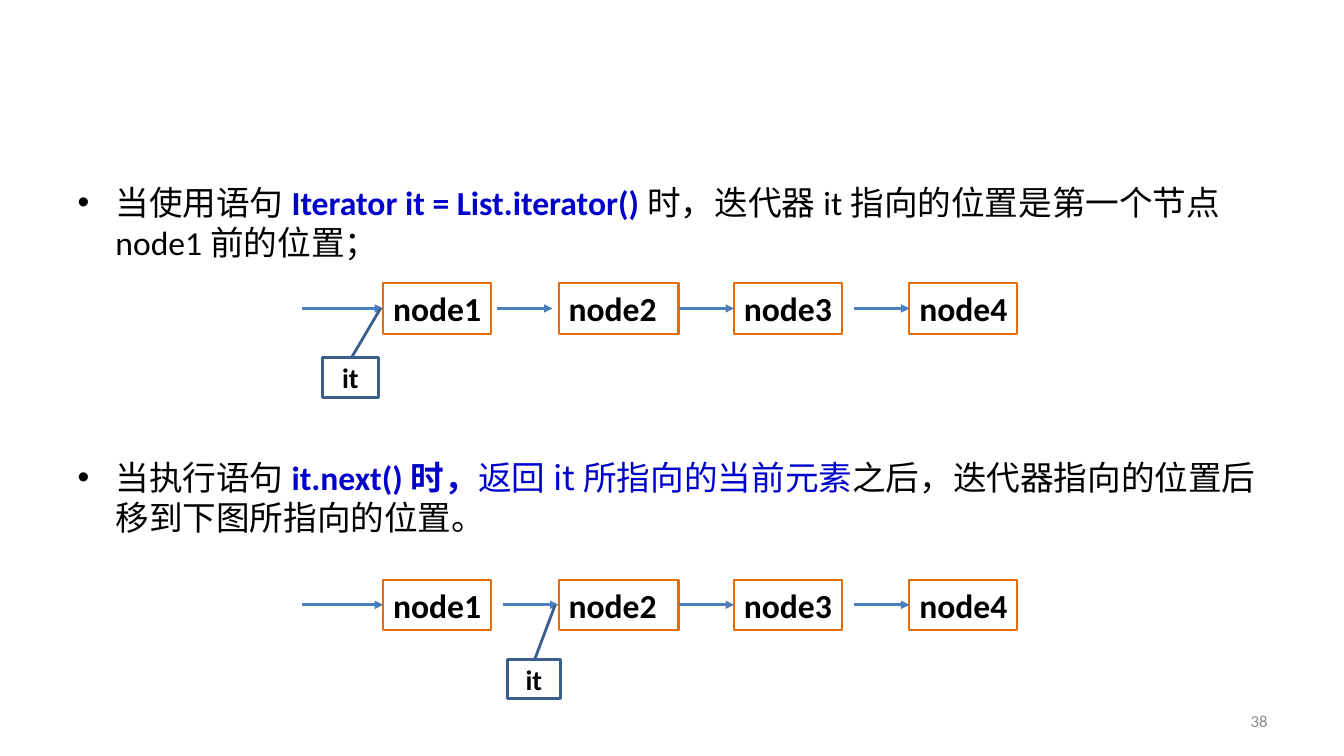
from dataclasses import dataclass

from lxml import etree
from pptx import Presentation
from pptx.dml.color import RGBColor
from pptx.enum.shapes import MSO_CONNECTOR, MSO_SHAPE
from pptx.enum.text import MSO_ANCHOR, MSO_AUTO_SIZE, PP_ALIGN
from pptx.oxml.ns import qn
from pptx.util import Inches, Pt

RECTANGLE, CALLOUT = MSO_SHAPE.RECTANGLE, MSO_SHAPE.LINE_CALLOUT_1
STRAIGHT = MSO_CONNECTOR.STRAIGHT
LEFT, CENTER, RIGHT = PP_ALIGN.LEFT, PP_ALIGN.CENTER, PP_ALIGN.RIGHT
TOP, MIDDLE = MSO_ANCHOR.TOP, MSO_ANCHOR.MIDDLE
LEFT_SIDE, RIGHT_SIDE = 1, 3

LATIN, CJK = "Calibri", "Noto Sans CJK JP"
BLACK, BLUE, GREY = "000000", "0000CC", "8C8C8C"
ORANGE, ARROW_BLUE, CALLOUT_BLUE = "E46C0A", "4B7EBC", "3A5F8C"

NODE_LEFT, NODE_PITCH, NODE_HEIGHT = 3.8, 1.74, 0.5
NODE_WIDTHS = [1.07, 1.19, 1.07, 1.07]


@dataclass
class Phrase:
    text: str
    color: str = BLACK
    bold: bool = False
    font: str = LATIN


@dataclass
class Callout:
    left: float
    top: float
    width: float
    adjustments: tuple[float, ...]


@dataclass
class LinkedList:
    top: float
    second_arrow: tuple[float, float]
    iterator: Callout


BULLETS = [
    [
        Phrase("当使用语句"),
        Phrase("Iterator it = List.iterator()", BLUE, True),
        Phrase("时，迭代器it指向的位置是第一个节点node1前的位置；"),
    ],
    [
        Phrase("当执行语句"),
        Phrase("it.next()时，", BLUE, True),
        Phrase("返回it所指向的当前元素", BLUE, font=CJK),
        Phrase("之后，迭代器指向的位置后移到下图所指向的位置。"),
    ],
]
LISTS = [
    LinkedList(2.81, (4.93, 5.48), Callout(3.2, 3.55, 0.55, (0.005, 0.517, -1.258, 1.044))),
    LinkedList(5.75, (4.99, 5.54), Callout(5.03, 6.54, 0.53, (0.005, 0.517, -1.375, 0.898))),
]


def rgb(color: str) -> RGBColor:
    return RGBColor.from_string(color)


def format_run(run, size: float, color: str, bold: bool = False, font: str = LATIN) -> None:
    run.font.name = font
    run.font.size = Pt(size)
    run.font.bold = bold
    run.font.color.rgb = rgb(color)


def write_label(shape, text: str, size: float, color: str, bold: bool, align, anchor) -> None:
    frame = shape.text_frame
    frame.text = text
    frame.vertical_anchor = anchor
    paragraph = frame.paragraphs[0]
    paragraph.alignment = align
    format_run(paragraph.runs[0], size, color, bold)


def add_outline(slide, kind, box: tuple[float, ...], color: str, width: float):
    """Add an unfilled shape with a coloured outline."""
    shape = slide.shapes.add_shape(kind, *map(Inches, box))
    shape.shadow.inherit = False
    shape.fill.background()
    shape.line.color.rgb = rgb(color)
    shape.line.width = Pt(width)
    return shape


def add_arrow(slide, start: float, end: float, y: float, source=None, target=None) -> None:
    """Add a level arrow, joined to the node at either end if one is given."""
    arrow = slide.shapes.add_connector(STRAIGHT, *map(Inches, (start, y, end, y)))
    if source is not None:
        arrow.begin_connect(source, RIGHT_SIDE)
    if target is not None:
        arrow.end_connect(target, LEFT_SIDE)
    arrow.line.color.rgb = rgb(ARROW_BLUE)
    arrow.line.width = Pt(2)
    etree.SubElement(arrow.line._get_or_add_ln(), qn("a:tailEnd"), type="triangle")
    etree.SubElement(arrow._element.spPr, qn("a:effectLst"))


def add_linked_list(slide, linked_list: LinkedList) -> None:
    lefts = [NODE_LEFT + index * NODE_PITCH for index in range(len(NODE_WIDTHS))]
    nodes = []
    for number, (left, width) in enumerate(zip(lefts, NODE_WIDTHS), start=1):
        box = (left, linked_list.top, width, NODE_HEIGHT)
        node = add_outline(slide, RECTANGLE, box, ORANGE, 1.5)
        node.text_frame.word_wrap = False
        write_label(node, f"node{number}", 24, BLACK, True, LEFT, TOP)
        nodes.append(node)

    y = linked_list.top + NODE_HEIGHT / 2
    start, end = linked_list.second_arrow
    add_arrow(slide, 3, lefts[0], y, target=nodes[0])
    add_arrow(slide, start, end, y, target=nodes[1] if end == lefts[1] else None)
    add_arrow(slide, lefts[1] + NODE_WIDTHS[1], lefts[2], y, nodes[1], nodes[2])
    add_arrow(slide, 8.47, lefts[3], y, target=nodes[3])

    iterator = linked_list.iterator
    box = (iterator.left, iterator.top, iterator.width, 0.39)
    callout = add_outline(slide, CALLOUT, box, CALLOUT_BLUE, 2)
    for index, value in enumerate(iterator.adjustments):
        callout.adjustments[index] = value
    write_label(callout, "it", 20, BLACK, True, CENTER, MIDDLE)


def fill_body(body) -> None:
    body.left, body.top, body.width, body.height = map(Inches, (0.67, 1.75, 12, 4.95))
    frame = body.text_frame
    frame.auto_size = MSO_AUTO_SIZE.NONE
    for index, phrases in enumerate(BULLETS):
        paragraph = frame.add_paragraph() if index else frame.paragraphs[0]
        paragraph.line_spacing = Pt(28.8)
        paragraph.space_before = Pt(139 if index else 0)
        for phrase in phrases:
            run = paragraph.add_run()
            run.text = phrase.text
            format_run(run, 24, phrase.color, phrase.bold, phrase.font)


def main() -> None:
    presentation = Presentation()
    presentation.slide_width, presentation.slide_height = Inches(13.33), Inches(7.5)
    slide = presentation.slides.add_slide(presentation.slide_layouts[1])
    title = slide.shapes.title._element
    title.getparent().remove(title)
    fill_body(slide.placeholders[1])

    page_number = slide.shapes.add_textbox(*map(Inches, (9.56, 6.95, 3.11, 0.4)))
    page_number.text_frame.word_wrap = True
    write_label(page_number, "38", 12, GREY, False, RIGHT, MIDDLE)

    for linked_list in LISTS:
        add_linked_list(slide, linked_list)
    presentation.save("out.pptx")


if __name__ == "__main__":
    main()
